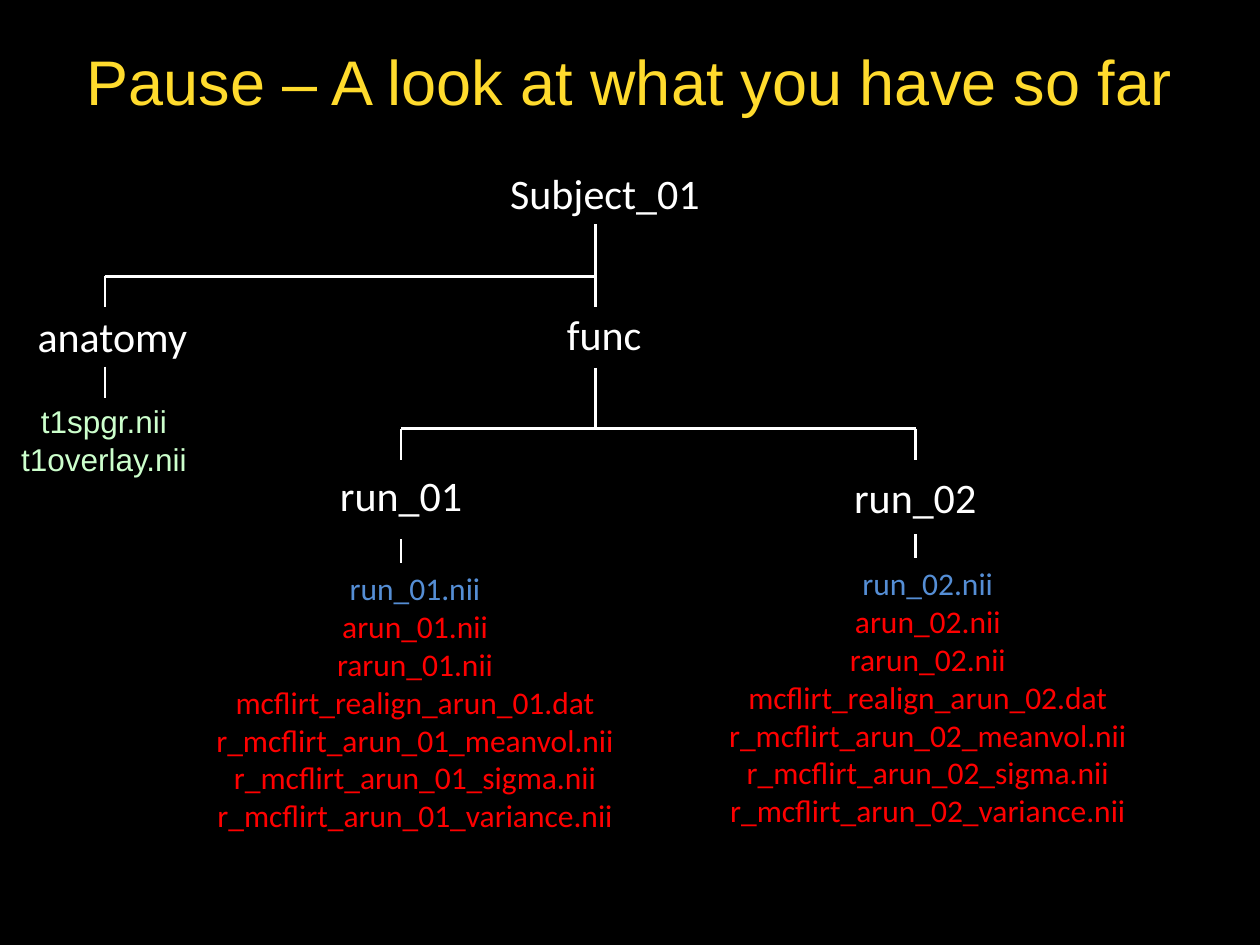
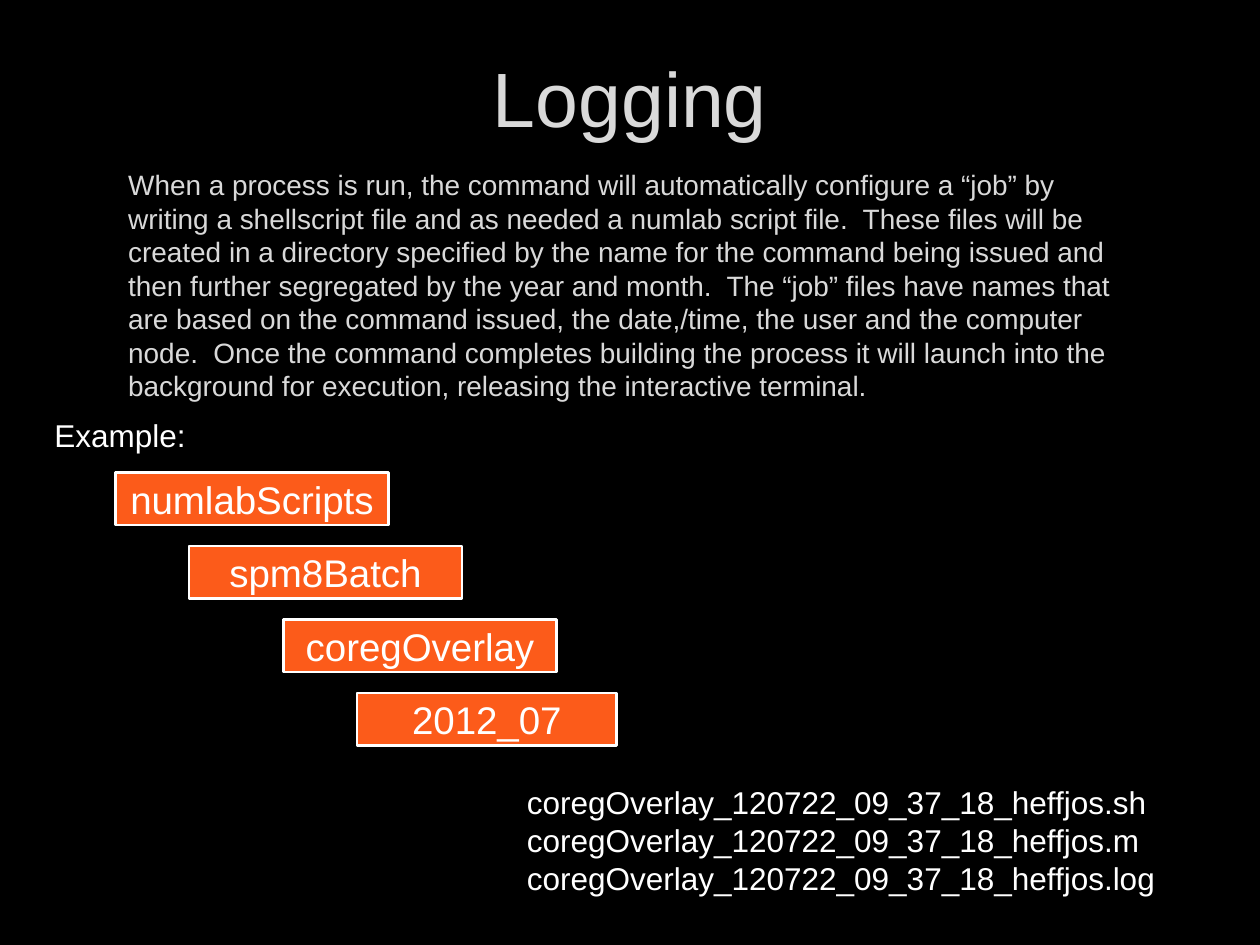
"""Build two slides: the subject folder tree so far, and the job logging layout."""
import pptx
import pptx.dml.color
import pptx.enum.shapes
import pptx.enum.text
import pptx.oxml.ns
import pptx.util
from lxml import etree

Pt = pptx.util.Pt
ALIGN = pptx.enum.text.PP_ALIGN
ANCHOR = pptx.enum.text.MSO_ANCHOR
SHAPE = pptx.enum.shapes.MSO_SHAPE
CONNECTOR = pptx.enum.shapes.MSO_CONNECTOR

COLORS = {
    "background": "000000",
    "text": "FFFFFF",
    "yellow": "FFDB2D",
    "grey": "D9D9D9",
    "anatomy": "CCFFCC",
    "raw": "558ED5",
    "derived": "FF0000",
    "folder": "FC5B1A",
}

TREE_TITLE = "Pause – A look at what you have so far"
FOLDERS = [
    ("Subject_01", (284.4, 92.2, 123.8, 36)),
    ("anatomy", (14.4, 174.2, 100.8, 36)),
    ("func", (316.8, 172.8, 57.6, 36)),
    ("run_01", (187.2, 265, 84.2, 36)),
    ("run_02", (481, 265.7, 84.2, 36)),
]
ANATOMY_FILES = ["t1spgr.nii", "t1overlay.nii"]
RUN_FILES = [
    "{}.nii", "a{}.nii", "ra{}.nii", "mcflirt_realign_a{}.dat",
    "r_mcflirt_a{}_meanvol.nii", "r_mcflirt_a{}_sigma.nii",
    "r_mcflirt_a{}_variance.nii",
]
RUN_LISTS = [
    ("run_01", (115.9, 321.8, 242.6, 181.4)),
    ("run_02", (408.2, 319, 244, 181.4)),
]
ANATOMY_X, FUNC_X, RUN_XS = 60, 340.3, (229.2, 523.2)
BRANCHES = [
    (FUNC_X, 128.2, 158, (ANATOMY_X, FUNC_X), 175.7),
    (FUNC_X, 210.2, 245, RUN_XS, 262.8),
]
STEMS = [
    (ANATOMY_X, 209.5, 227.5),
    (RUN_XS[0], 308.2, 321.8),
    (RUN_XS[1], 305.3, 319),
]

LOG_TITLE = "Logging"
LOG_BODY = (
    "When a process is run, the command will automatically configure a “job” by "
    "writing a shellscript file and as needed a numlab script file.  These files "
    "will be created in a directory specified by the name for the command being "
    "issued and then further segregated by the year and month.  The “job” files "
    "have names that are based on the command issued, the date,/time, the user "
    "and the computer node.  Once the command completes building the process it "
    "will launch into the background for execution, releasing the interactive "
    "terminal."
)
LOG_FOLDERS = [
    ("numlabScripts", 66, 156),
    ("spm8Batch", 108, 156),
    ("coregOverlay", 162, 156),
    ("2012_07", 204, 148.4),
]
FOLDER_TOP, FOLDER_STEP, FOLDER_HEIGHT = 270, 42, 30
LOG_FILES = ["coregOverlay_120722_09_37_18_heffjos." + ext for ext in ("sh", "m", "log")]


def rgb(name):
    return pptx.dml.color.RGBColor.from_string(COLORS[name])


def write(sp, lines, size, font="Arial", align=ALIGN.LEFT, wrap=True, anchor=ANCHOR.TOP):
    tf = sp.text_frame
    tf.word_wrap = wrap
    tf.vertical_anchor = anchor
    for i, (text, color) in enumerate(lines):
        p = tf.add_paragraph() if i else tf.paragraphs[0]
        p.alignment = align
        r = p.add_run()
        r.text = text
        r.font.size = Pt(size)
        r.font.name = font
        r.font.color.rgb = rgb(color)
    return tf


def add_text(s, box, lines, size, **style):
    sp = s.shapes.add_textbox(*map(Pt, box))
    return write(sp, lines, size, **style)


def add_line(s, x1, y1, x2, y2):
    line = s.shapes.add_connector(CONNECTOR.STRAIGHT, *map(Pt, (x1, y1, x2, y2)))
    line.line.color.rgb = rgb("text")
    line.line.width = Pt(1.5)
    etree.SubElement(line._element.spPr, pptx.oxml.ns.qn("a:effectLst"))


def add_branch(s, x, top, bar_y, child_xs, bottom):
    add_line(s, x, top, x, bar_y)
    add_line(s, min(child_xs), bar_y, max(child_xs), bar_y)
    for child_x in child_xs:
        add_line(s, child_x, bar_y, child_x, bottom)


def add_slide(prs, title, box, size, color, anchor):
    s = prs.slides.add_slide(prs.slide_layouts[6])
    s.background.fill.solid()
    s.background.fill.fore_color.rgb = rgb("background")
    tf = add_text(s, box, [(title, color)], size, align=ALIGN.CENTER, anchor=anchor)
    tf.margin_top = Pt(7.2)
    return s


def build_tree(prs):
    s = add_slide(prs, TREE_TITLE, (14.4, 12.2, 690.5, 63.4), 36, "yellow", ANCHOR.MIDDLE)
    for branch in BRANCHES:
        add_branch(s, *branch)
    for x, top, bottom in STEMS:
        add_line(s, x, top, x, bottom)
    for name, box in FOLDERS:
        add_text(s, box, [(name, "text")], 24, font="Calibri", wrap=False)
    add_text(s, (4.3, 226.1, 110.2, 51.1), [(name, "anatomy") for name in ANATOMY_FILES],
             18, align=ALIGN.CENTER, wrap=False)
    for run, box in RUN_LISTS:
        lines = [(name.format(run), "derived" if i else "raw")
                 for i, name in enumerate(RUN_FILES)]
        add_text(s, box, lines, 18, font="Calibri", align=ALIGN.CENTER, wrap=False)


def build_logging(prs):
    s = add_slide(prs, LOG_TITLE, (43.2, 21.6, 633.6, 73.4), 44, "grey", ANCHOR.TOP)
    add_text(s, (66.2, 92.2, 588.2, 141.8), [(LOG_BODY, "grey")], 16)
    for i, (name, left, width) in enumerate(LOG_FOLDERS):
        box = (left, FOLDER_TOP + i * FOLDER_STEP, width, FOLDER_HEIGHT)
        sp = s.shapes.add_shape(SHAPE.RECTANGLE, *map(Pt, box))
        sp.shadow.inherit = False
        sp.fill.solid()
        sp.fill.fore_color.rgb = rgb("folder")
        sp.line.color.rgb = rgb("text")
        sp.line.width = Pt(1.5)
        write(sp, [(name, "text")], 22, align=ALIGN.CENTER, anchor=ANCHOR.MIDDLE)
    add_text(s, (24, 234, 144, 28.8), [("Example:", "text")], 18)
    add_text(s, (294, 444, 401.8, 72.7), [(name, "text") for name in LOG_FILES], 18)


def main():
    prs = pptx.Presentation()
    prs.slide_width, prs.slide_height = Pt(720), Pt(540)
    build_tree(prs)
    build_logging(prs)
    prs.save("out.pptx")


if __name__ == "__main__":
    main()
